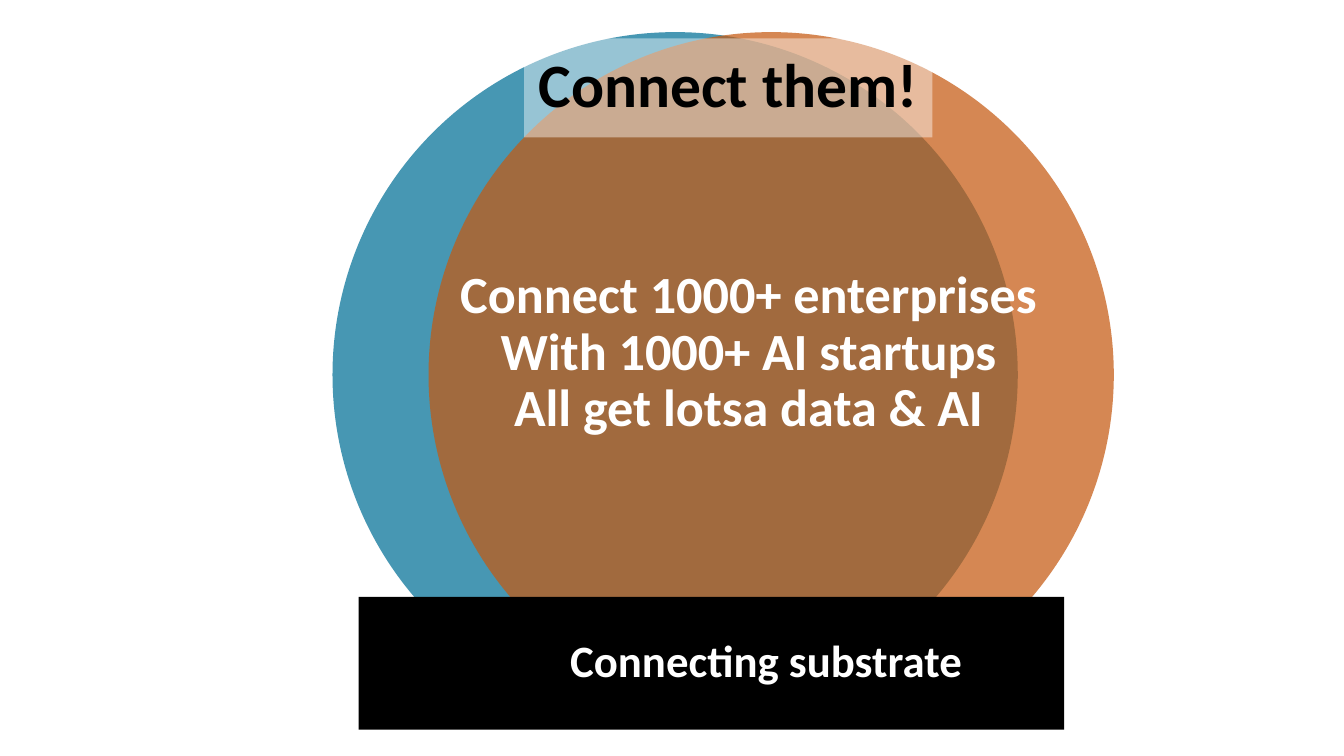
import pptx
import pptx.dml.color
import pptx.enum.shapes
import pptx.enum.text
import pptx.oxml
import pptx.oxml.ns
import pptx.util
from pptx.util import Cm

RGBColor = pptx.dml.color.RGBColor
SHAPE = pptx.enum.shapes.MSO_SHAPE
ALIGN = pptx.enum.text.PP_ALIGN
ANCHOR = pptx.enum.text.MSO_ANCHOR

BLUE = RGBColor(0x00, 0x6F, 0x96)
ORANGE = RGBColor(0xC5, 0x5A, 0x11)
WHITE = RGBColor(0xFF, 0xFF, 0xFF)
BLACK = RGBColor(0x00, 0x00, 0x00)


def fill_solid(sp, color, opacity=100):
    """Fill a shape; opacity is in percent."""
    sp.fill.solid()
    sp.fill.fore_color.rgb = color
    if opacity < 100:
        clr = sp.element.spPr.find(".//" + pptx.oxml.ns.qn("a:srgbClr"))
        clr.append(pptx.oxml.parse_xml(
            f'<a:alpha {pptx.oxml.ns.nsdecls("a")} val="{opacity * 1000}"/>'))


def add_plain_shape(slide, kind, box, color, opacity=100):
    sp = slide.shapes.add_shape(kind, *box)
    sp.shadow.inherit = False
    sp.line.fill.background()
    fill_solid(sp, color, opacity)
    return sp


def write_lines(tf, lines, size, color, align=ALIGN.CENTER):
    tf.word_wrap = True
    tf.auto_size = pptx.enum.text.MSO_AUTO_SIZE.NONE
    for i, line in enumerate(lines):
        p = tf.add_paragraph() if i else tf.paragraphs[0]
        p.text = line
        p.alignment = align
        p.line_spacing = 0.9
        p.space_before = pptx.util.Pt(0)
        p.font.name = "Calibri"
        p.font.size = pptx.util.Pt(size)
        p.font.bold = True
        p.font.color.rgb = color


def add_circles(slide, left, top, width, height):
    """Two overlapping circles, as tall as the box, at its left and right ends."""
    for x, color in ((left, BLUE), (left + width - height, ORANGE)):
        add_plain_shape(slide, SHAPE.OVAL, (x, top, height, height), color, 72)


def add_message(slide, left, top, width, height):
    tf = slide.shapes.add_textbox(left, top, width, height).text_frame
    write_lines(tf, ["Connect 1000+ enterprises", "With 1000+ AI startups",
                     "All get lotsa data & AI"], 37.3, WHITE)


def add_substrate(slide, left, top, width, height):
    sp = add_plain_shape(slide, SHAPE.RECTANGLE, (left, top, width, height), BLACK)
    tf = sp.text_frame
    tf.margin_left = Cm(5.33)
    tf.vertical_anchor = ANCHOR.MIDDLE
    write_lines(tf, ["Connecting substrate"], 32, WHITE, ALIGN.LEFT)


def set_title(slide, left, top, width, height):
    """Fill the title placeholder and bring it to the front."""
    sp = slide.shapes.title
    sp.left, sp.top, sp.width, sp.height = left, top, width, height
    fill_solid(sp, WHITE, 44)
    sp.text_frame.vertical_anchor = ANCHOR.MIDDLE
    write_lines(sp.text_frame, ["Connect them!"], 44, BLACK)
    sp.element.getparent().append(sp.element)


def main():
    prs = pptx.Presentation()
    prs.slide_width, prs.slide_height = Cm(33.87), Cm(19.05)
    slide = prs.slides.add_slide(prs.slide_layouts[5])
    add_circles(slide, Cm(8.38), Cm(0.81), Cm(19.69), Cm(17.27))
    add_message(slide, Cm(9.98), Cm(6.65), Cm(17.78), Cm(2.79))
    add_substrate(slide, Cm(9.04), Cm(15.04), Cm(17.78), Cm(3.35))
    set_title(slide, Cm(13.21), Cm(0.97), Cm(10.29), Cm(2.49))
    prs.save("out.pptx")


if __name__ == "__main__":
    main()
